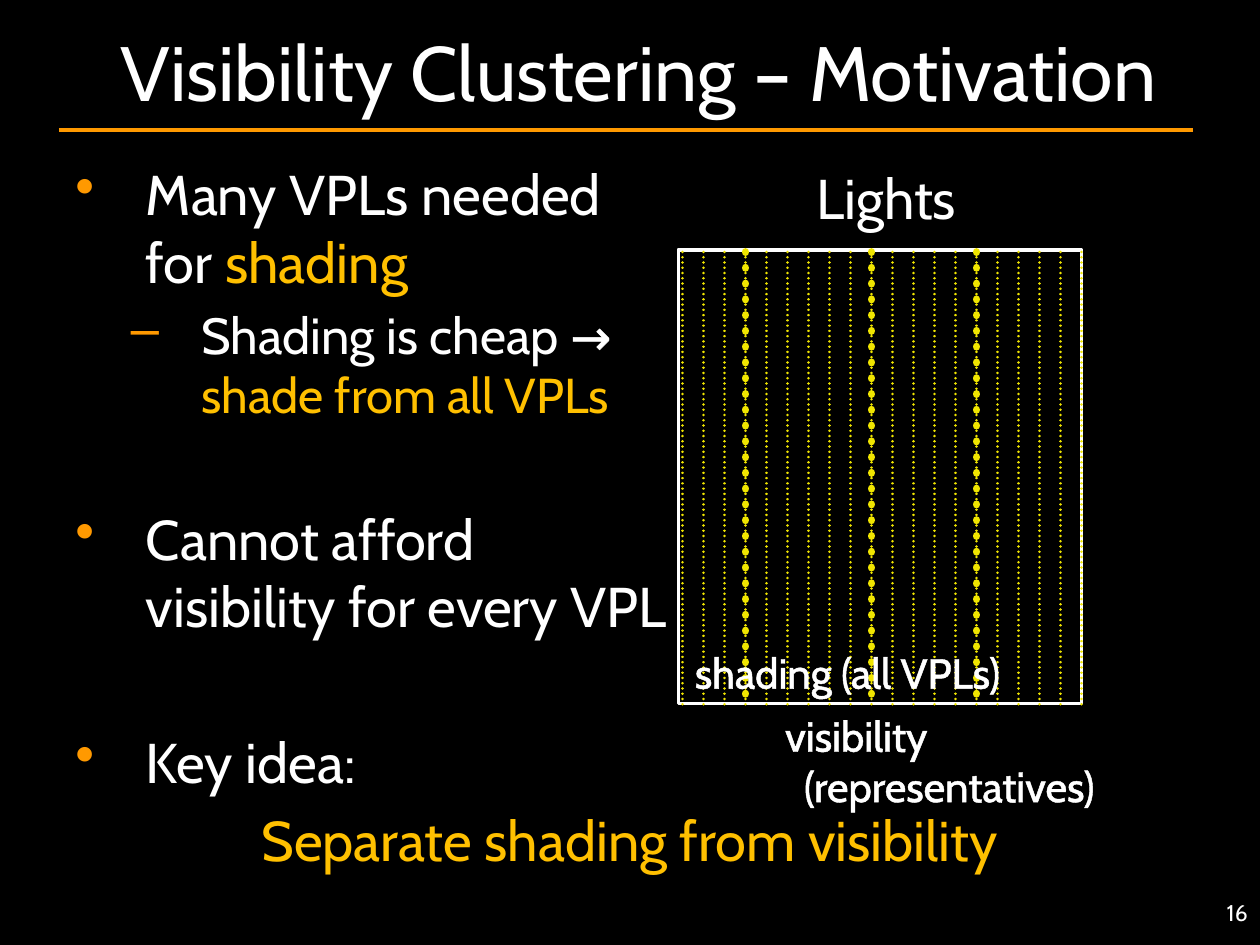
from dataclasses import dataclass
from typing import Optional

import pptx
import pptx.dml.color
import pptx.enum.dml
import pptx.enum.shapes
import pptx.enum.text
import pptx.oxml.ns
import pptx.util
from lxml import etree

RGBColor = pptx.dml.color.RGBColor
Align = pptx.enum.text.PP_ALIGN
Anchor = pptx.enum.text.MSO_ANCHOR

BLACK = RGBColor(0x00, 0x00, 0x00)
WHITE = RGBColor(0xFF, 0xFF, 0xFF)
ORANGE = RGBColor(0xFF, 0x99, 0x00)
GOLD = RGBColor(0xFF, 0xC0, 0x00)
YELLOW = RGBColor(0xF0, 0xE5, 0x00)
FONT = "Cabin"

# The slide is a grid of square cells, six to the inch
COLUMNS, ROWS = 60, 45
CELL = pptx.util.Inches(10) / COLUMNS

# Lights: one column per VPL, three of them chosen as representatives
FIRST_LIGHT, LIGHTS = 32.5, 20
REPRESENTATIVES = (3, 9, 14)
LIGHT_TOP, LIGHT_BOTTOM = 12, 33.6


@dataclass
class Span:
    text: str
    color: RGBColor = WHITE
    size: Optional[float] = None
    outlined: bool = False


@dataclass
class Para:
    spans: list[Span]
    size: float
    align: Align = Align.LEFT
    before: float = 0
    bullet: str = ""
    margin: float = 0  # inches
    hanging: float = 0  # inches


@dataclass
class Box:
    left: float
    top: float
    width: float
    height: float
    paras: list[Para]
    anchor: Anchor = Anchor.TOP
    wrap: bool = True


def cells(count: float) -> int:
    return round(count * CELL)


def add_child(parent, tag: str, **attributes: str):
    return etree.SubElement(parent, pptx.oxml.ns.qn(tag), **attributes)


def add_line(shapes, start: tuple, end: tuple, color: RGBColor, width: float,
             dotted: bool = False) -> None:
    line = shapes.add_connector(pptx.enum.shapes.MSO_CONNECTOR.STRAIGHT,
                                *map(cells, start + end))
    line.line.color.rgb = color
    line.line.width = pptx.util.Pt(width)
    if dotted:
        line.line.dash_style = pptx.enum.dml.MSO_LINE.ROUND_DOT
        line.line._get_or_add_ln().set("cap", "rnd")
    add_child(line._element.spPr, "a:effectLst")


def add_lights(slide, columns, width: float) -> None:
    group = slide.shapes.add_group_shape()
    for column in columns:
        x = FIRST_LIGHT + column
        add_line(group.shapes, (x, LIGHT_TOP), (x, LIGHT_BOTTOM), YELLOW, width, dotted=True)


def add_outline(run) -> None:
    outline = add_child(run._r.get_or_add_rPr(), "a:ln", w="18415")
    fill = add_child(outline, "a:solidFill")
    add_child(fill, "a:srgbClr", val=str(WHITE))


def fill_paragraph(paragraph, para: Para) -> None:
    paragraph.alignment = para.align
    paragraph.space_before = pptx.util.Pt(para.before)
    properties = paragraph._p.get_or_add_pPr()
    properties.set("marL", str(pptx.util.Inches(para.margin)))
    properties.set("indent", str(-pptx.util.Inches(para.hanging)))
    if para.bullet:
        bullet_color = add_child(properties, "a:buClr")
        add_child(bullet_color, "a:srgbClr", val=str(ORANGE))
        add_child(properties, "a:buChar", char=para.bullet)
    paragraph.font.name = FONT
    paragraph.font.size = pptx.util.Pt(para.size)
    one_color = len({span.color for span in para.spans}) == 1
    if one_color:
        paragraph.font.color.rgb = para.spans[0].color
    for span in para.spans:
        for number, piece in enumerate(span.text.split("\n")):
            if number:
                paragraph.add_line_break()
            if not piece:
                continue
            run = paragraph.add_run()
            run.text = piece
            if span.outlined:
                add_outline(run)
            if span.size:
                run.font.size = pptx.util.Pt(span.size)
            if not one_color:
                run.font.color.rgb = span.color


def add_text(slide, box: Box) -> None:
    shape = slide.shapes.add_textbox(*map(cells, (box.left, box.top, box.width, box.height)))
    frame = shape.text_frame
    frame.word_wrap = box.wrap
    frame.vertical_anchor = box.anchor
    for number, para in enumerate(box.paras):
        fill_paragraph(frame.add_paragraph() if number else frame.paragraphs[0], para)


def point(spans: list[Span], before: float = 0) -> Para:
    return Para(spans, 32, before=before, bullet="•", margin=0.56, hanging=0.56)


def label(text: str, margin: float = 0) -> Para:
    return Para([Span(text, outlined=True)], 24, margin=margin)


TITLE = Box(3.36, 0.54, 54.12, 5.64,
            [Para([Span("Visibility Clustering – Motivation")], 44, Align.CENTER)],
            anchor=Anchor.MIDDLE)
ARGUMENT = Box(3, 7.32, 54, 36.66, [
    point([Span("Many VPLs needed\nfor "), Span("shading", GOLD)]),
    Para([Span("Shading is cheap"), Span(" →\n", size=28, outlined=True),
          Span("shade from all VPLs", GOLD, size=28)],
         29, before=5.5, bullet="–", margin=1, hanging=0.56),
    point([Span("Cannot afford\nvisibility for every VPL")], before=46),
    point([Span("Key idea:")], before=51),
    Para([Span("Separate shading from visibility", GOLD)], 32, Align.CENTER,
         before=6, margin=0.56, hanging=0.56),
])
PAGE_NUMBER = Box(46, 42.5, 14, 2.5, [Para([Span("16")], 13, Align.RIGHT)])
LIGHTS_HEADING = Box(30.5, 7.5, 23.4, 3.78, [Para([Span("Lights")], 32, Align.CENTER)])
SHADING_LABEL = Box(32.5, 30.5, 15.84, 3, [label("shading (all VPLs)")], wrap=False)
VISIBILITY_LABEL = Box(36.8, 33.5, 16.2, 5.46,
                       [label("visibility"), label("(representatives)", margin=0.15)],
                       wrap=False)


def main() -> None:
    deck = pptx.Presentation()
    deck.slide_width, deck.slide_height = cells(COLUMNS), cells(ROWS)
    slide = deck.slides.add_slide(deck.slide_layouts[6])
    slide.background.fill.solid()
    slide.background.fill.fore_color.rgb = BLACK

    # Title rule and text
    add_line(slide.shapes, (2.8, 6.2), (56.8, 6.2), ORANGE, 2.25)
    for box in (ARGUMENT, PAGE_NUMBER, TITLE, LIGHTS_HEADING):
        add_text(slide, box)

    # Light matrix
    matrix = slide.shapes.add_shape(pptx.enum.shapes.MSO_SHAPE.RECTANGLE,
                                    *map(cells, (32.3, 11.9, 19.2, 21.6)))
    matrix.shadow.inherit = False
    matrix.fill.solid()
    matrix.fill.fore_color.rgb = BLACK
    matrix.line.color.rgb = WHITE
    matrix.line.width = pptx.util.Pt(2)
    add_lights(slide, range(LIGHTS), 1.5)
    add_lights(slide, REPRESENTATIVES, 4.5)

    # Matrix labels
    add_text(slide, SHADING_LABEL)
    add_text(slide, VISIBILITY_LABEL)
    deck.save("out.pptx")


if __name__ == "__main__":
    main()
